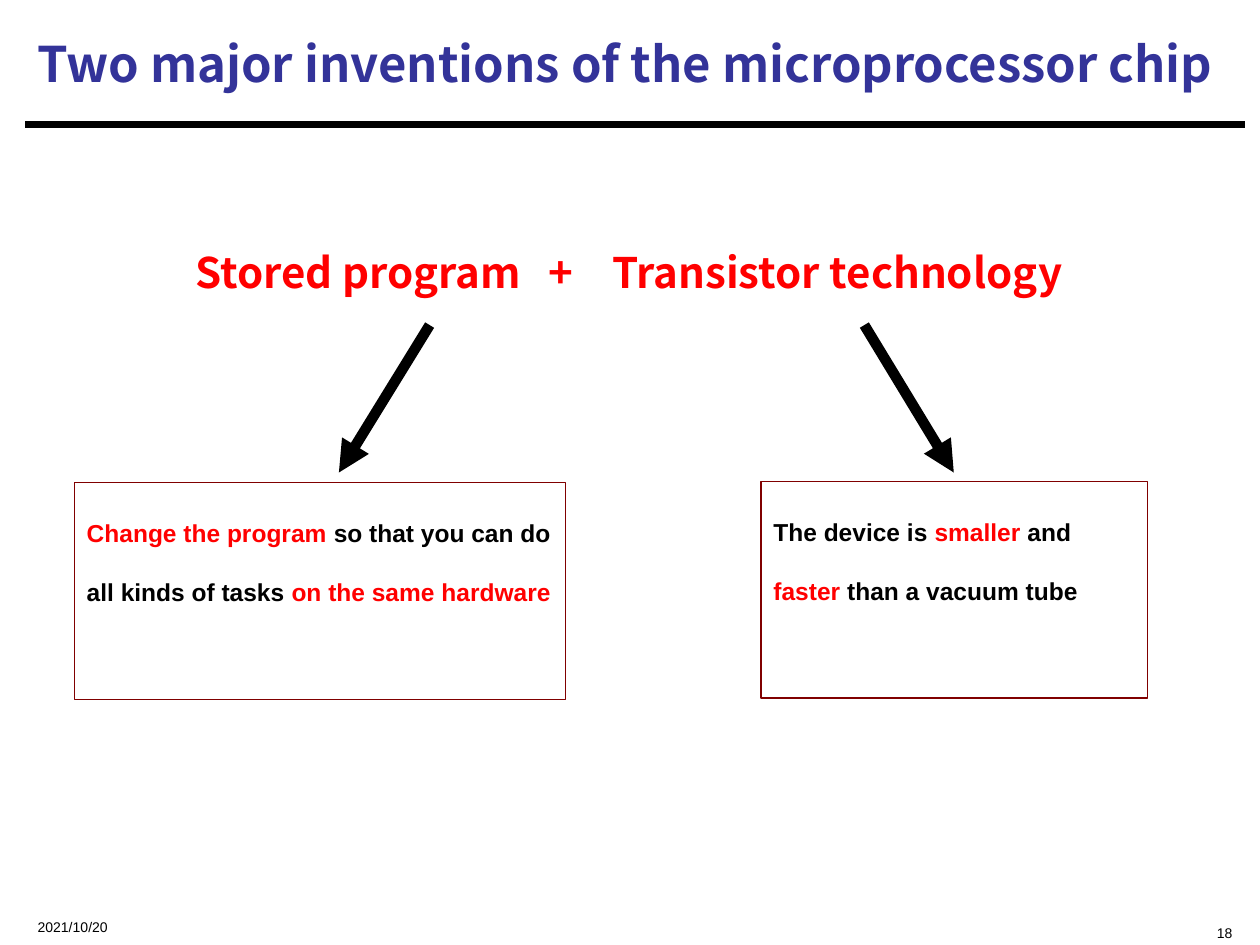
from lxml import etree
from pptx import Presentation
from pptx.dml.color import RGBColor
from pptx.enum import shapes, text
from pptx.oxml.ns import qn
from pptx.util import Inches, Pt

BLACK, RED, MAROON, BLUE = "000000", "FF0000", "800000", "333399"
HEADING_FONT, BODY_FONT = "Noto Sans CJK SC", "Arial"


def rgb(value):
    return RGBColor.from_string(value)


def add_text(left, top, width, height, wording, size, font, color, bold):
    frame = slide.shapes.add_textbox(
        Inches(left), Inches(top), Inches(width), Inches(height)
    ).text_frame
    frame.word_wrap = True
    paragraph = frame.paragraphs[0]
    paragraph.add_run().text = wording
    paragraph.font.size = Pt(size)
    paragraph.font.name = font
    paragraph.font.bold = bold
    paragraph.font.color.rgb = rgb(color)
    return frame


deck = Presentation()
deck.slide_width, deck.slide_height = Inches(10), Inches(7.5)
slide = deck.slides.add_slide(deck.slide_layouts[6])

title = add_text(0.2, 0.08, 9.67, 0.84,
                 "Two major inventions of the microprocessor chip",
                 28, HEADING_FONT, BLUE, True)
title.vertical_anchor = text.MSO_ANCHOR.MIDDLE

inventions = add_text(1.23, 1.95, 7.55, 0.88, "", 24, HEADING_FONT, RED, True)
inventions.margin_left = Inches(0.32)
formula = inventions.paragraphs[0]
formula.line_spacing = 0.9
tabs = etree.Element(qn("a:tabLst"))
for position in (2.8, 3.31):
    etree.SubElement(tabs, qn("a:tab"), pos=str(Inches(position)), algn="l")
formula._p.get_or_add_pPr().find(qn("a:defRPr")).addprevious(tabs)
formula.runs[0].text = "Stored program\t+\tTransistor technology"

benefits = [
    (0.59, 3.83, 3.9, [("Change the program ", RED),
                       ("so that you can do all kinds of tasks ", BLACK),
                       ("on the same hardware", RED)]),
    (6.04, 3.82, 3.07, [("The device is ", BLACK), ("smaller", RED),
                        (" and ", BLACK), ("faster", RED),
                        (" than a vacuum tube", BLACK)]),
]
for left, top, width, phrases in benefits:
    benefit = slide.shapes.add_shape(
        shapes.MSO_SHAPE.RECTANGLE,
        Inches(left), Inches(top), Inches(width), Inches(1.72))
    benefit.shadow.inherit = False
    benefit.fill.background()
    benefit.line.color.rgb = rgb(MAROON)
    benefit.line.width = Pt(0.75)
    benefit.text_frame.word_wrap = True
    benefit.text_frame.vertical_anchor = text.MSO_ANCHOR.TOP
    sentence = benefit.text_frame.paragraphs[0]
    sentence.alignment = text.PP_ALIGN.LEFT
    sentence.line_spacing = 2.0
    sentence.font.size = Pt(14)
    sentence.font.name = BODY_FONT
    sentence.font.bold = True
    for wording, color in phrases:
        phrase = sentence.add_run()
        phrase.text = wording
        phrase.font.color.rgb = rgb(color)

lines = [
    (0.2, 0.99, 9.88, 0.99, 3.75, False),
    (3.41, 2.58, 2.69, 3.75, 6, True),
    (6.86, 2.58, 7.57, 3.75, 6, True),
]
for x1, y1, x2, y2, weight, has_arrow in lines:
    line = slide.shapes.add_connector(
        shapes.MSO_CONNECTOR.STRAIGHT,
        Inches(x1), Inches(y1), Inches(x2), Inches(y2))
    line.line.color.rgb = rgb(BLACK)
    line.line.width = Pt(weight)
    if has_arrow:
        etree.SubElement(line.line._get_or_add_ln(), qn("a:tailEnd"), type="triangle")
    etree.SubElement(line._element.spPr, qn("a:effectLst"))

date = add_text(0.2, 7.15, 2.5, 0.27, "2021/10/20", 8, BODY_FONT, BLACK, False)
date.margin_top = Inches(0.14)
page = add_text(6.88, 7.15, 3, 0.27, "18", 8, BODY_FONT, BLACK, False)
page.margin_top = Inches(0.19)
page.paragraphs[0].alignment = text.PP_ALIGN.RIGHT

deck.save("out.pptx")
